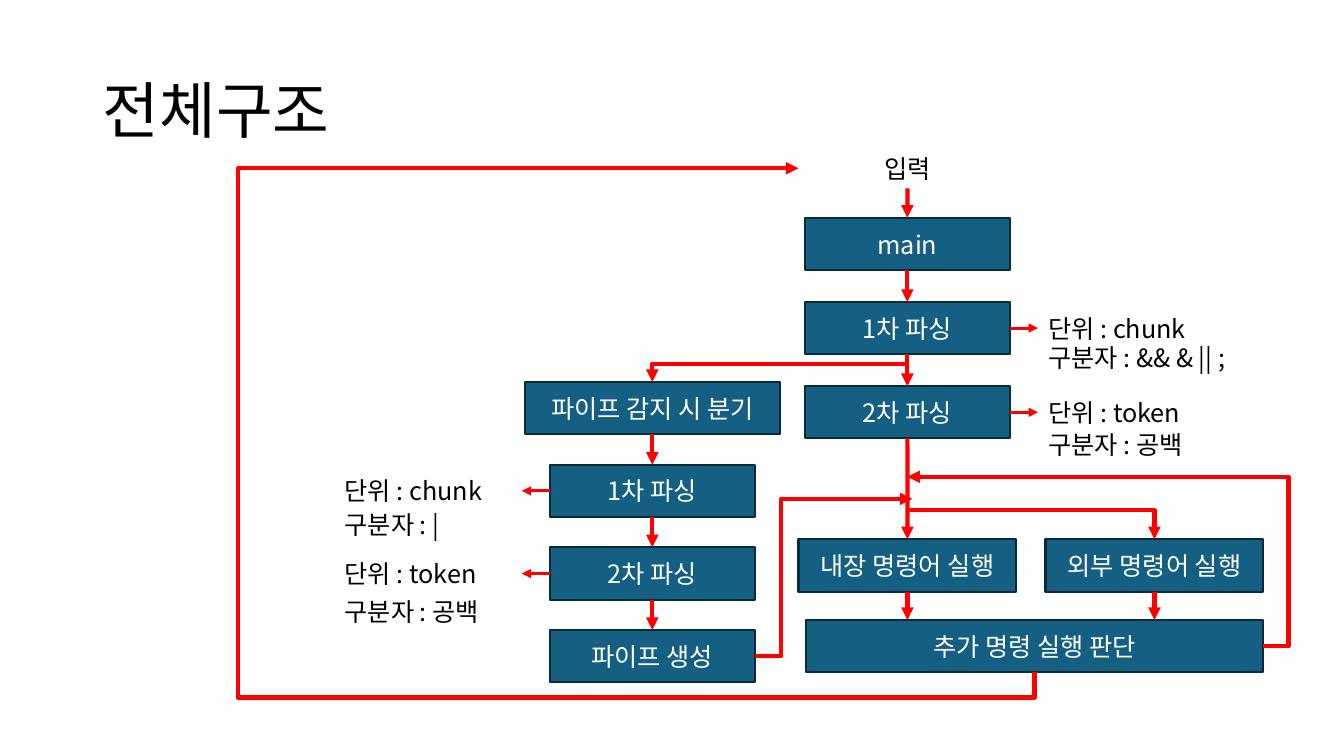
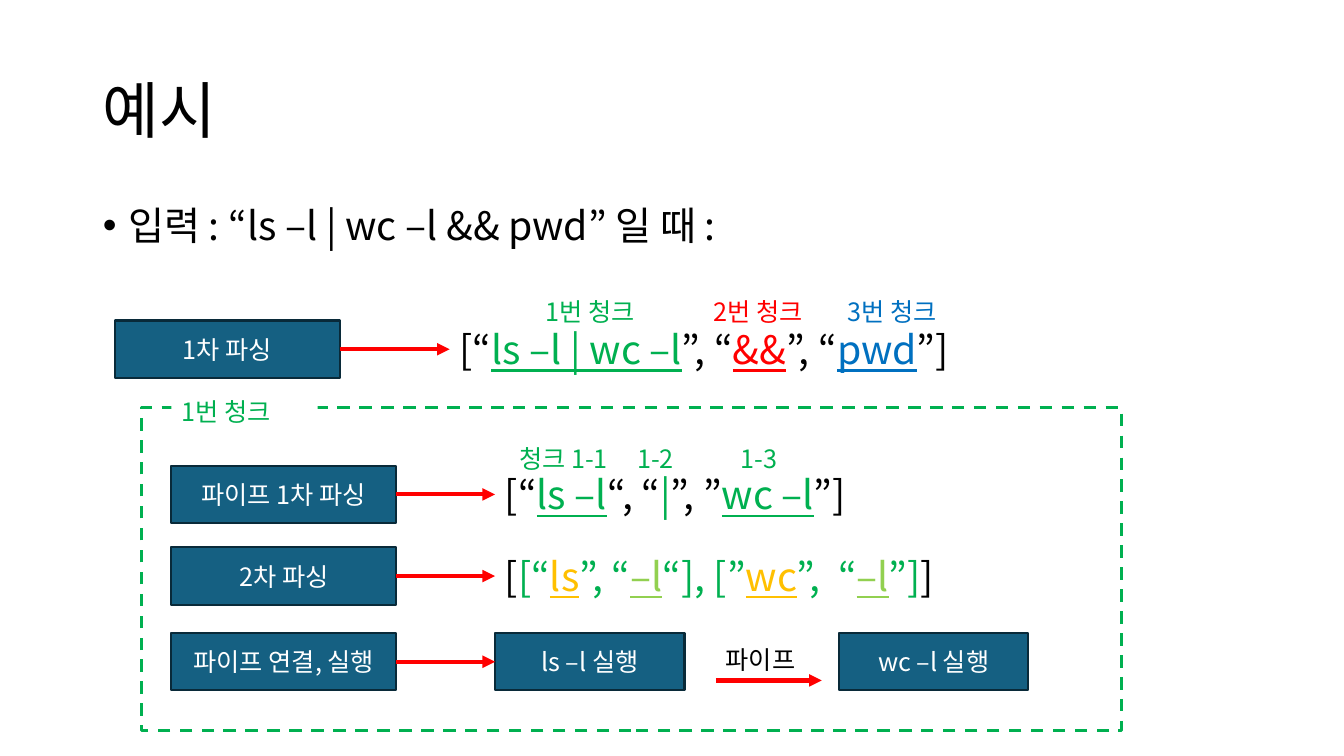
from lxml.etree import SubElement
from pptx import Presentation
from pptx.dml.color import RGBColor
from pptx.enum.dml import MSO_LINE
from pptx.enum.shapes import MSO_CONNECTOR as CONNECTOR, MSO_SHAPE as SHAPE
from pptx.enum.text import MSO_ANCHOR as ANCHOR, MSO_AUTO_SIZE as AUTO_SIZE, PP_ALIGN as ALIGN
from pptx.oxml.ns import qn
from pptx.util import Inches, Pt

FONT = "Noto Sans CJK KR"
BLACK, WHITE, RED, GREEN = "000000", "FFFFFF", "FF0000", "00B050"
BLUE, GOLD, LIME = "0070C0", "FFC000", "92D050"
BOX_FILL, BOX_LINE = "156082", "092A39"
WIDTH, HEIGHT = 13.33, 7.5
MARGIN, CONTENT_WIDTH = 0.92, 11.5
TOP, LEFT, BOTTOM, RIGHT = range(4)

MAIN_COLUMN, PIPE_COLUMN, EXTERNAL_COLUMN, JUDGE_COLUMN = 9, 6.47, 11.45, 10.26
MAIN_TOP, MAIN_PITCH = 2.16, 0.835
PIPE_TOP, PIPE_PITCH = 3.79, 0.82
COMMAND_TOP, JUDGE_TOP = 5.35, 6.15
BOX_WIDTH, BOX_HEIGHT = 2.03, 0.52
STEP_WIDTH, STEP_HEIGHT = 2.23, 0.57
INNER_LEFT, INNER_CODE = 1.7, 4.91


def color(hex_string):
    """Turn a hex string into a colour."""
    return RGBColor.from_string(hex_string)


def set_format(target, **values):
    """Set each named attribute of the target."""
    for name, value in values.items():
        setattr(target, name, value)


def place(shape, left, top, width, height):
    """Put a shape at a place given in inches."""
    set_format(shape, left=Inches(left), top=Inches(top),
               width=Inches(width), height=Inches(height))


def write(shape, runs, size=18, paragraph_format=None, **frame_format):
    """Write one paragraph of (text, colour, underline) runs."""
    set_format(shape.text_frame, word_wrap=True, **frame_format)
    paragraph = shape.text_frame.paragraphs[0]
    set_format(paragraph, **(paragraph_format or {}))
    for text, hex_string, underline in runs:
        run = paragraph.add_run()
        run.text = text
        set_format(run.font, name=FONT, size=Pt(size), underline=underline)
        run.font.color.rgb = color(hex_string)
        SubElement(run._r.get_or_add_rPr(), qn("a:ea"), typeface=FONT)
    return paragraph


def draw_line(line, hex_string, width):
    """Give an outline its colour and width."""
    line.color.rgb = color(hex_string)
    line.width = Pt(width)


def add_title(slide, text):
    """Fill and place the title placeholder."""
    title = slide.shapes.title
    place(title, MARGIN, 0.4, CONTENT_WIDTH, 1.45)
    write(title, [(text, BLACK, None)], 44,
          {"alignment": ALIGN.LEFT, "line_spacing": 0.9},
          vertical_anchor=ANCHOR.MIDDLE, auto_size=AUTO_SIZE.NONE)


def add_bullet(slide, text):
    """Fill and place the body placeholder."""
    body = slide.placeholders[1]
    place(body, MARGIN, 2, CONTENT_WIDTH, 0.71)
    paragraph = write(body, [(text, BLACK, None)], 28,
                      {"line_spacing": 0.9, "space_before": Pt(10)},
                      auto_size=AUTO_SIZE.NONE)
    properties = paragraph._p.get_or_add_pPr()
    properties.set("marL", str(Inches(0.25)))
    properties.set("indent", str(Inches(-0.25)))


def add_rectangle(slide, left, top, width, height):
    """Add a plain rectangle without fill or shadow."""
    shape = slide.shapes.add_shape(SHAPE.RECTANGLE, 0, 0, 0, 0)
    place(shape, left, top, width, height)
    shape.shadow.inherit = False
    shape.fill.background()
    return shape


def add_box(slide, text, left, top, width=STEP_WIDTH, height=STEP_HEIGHT):
    """Add a filled process box."""
    shape = add_rectangle(slide, left, top, width, height)
    shape.fill.solid()
    shape.fill.fore_color.rgb = color(BOX_FILL)
    draw_line(shape.line, BOX_LINE, 1.5)
    write(shape, [(text, WHITE, None)], 18, {"alignment": ALIGN.CENTER},
          vertical_anchor=ANCHOR.MIDDLE)
    return shape


def add_flow_box(slide, text, column, top, width=BOX_WIDTH):
    """Add a process box centred on a column."""
    return add_box(slide, text, column - width / 2, top, width, BOX_HEIGHT)


def add_label(slide, runs, left, top, width=1.45, height=0.4, size=18, align=ALIGN.LEFT):
    """Add a text box that grows with its text."""
    label = slide.shapes.add_textbox(0, 0, 0, 0)
    place(label, left, top, width, height)
    write(label, runs, size, {"alignment": align}, auto_size=AUTO_SIZE.SHAPE_TO_FIT_TEXT)
    return label


def locate(end):
    """Return the inches of a point or of a (shape, side) pair."""
    if isinstance(end[0], (int, float)):
        return end
    shape, side = end
    across = {LEFT: 0, RIGHT: 1}.get(side, 0.5)
    down = {TOP: 0, BOTTOM: 1}.get(side, 0.5)
    return ((shape.left + shape.width * across) / Inches(1),
            (shape.top + shape.height * down) / Inches(1))


def add_arrow(slide, begin, end, kind=CONNECTOR.STRAIGHT, width=3, head="tailEnd"):
    """Add a red arrow and join it to the shapes it touches."""
    points = [Inches(value) for value in (*locate(begin), *locate(end))]
    arrow = slide.shapes.add_connector(kind, *points)
    for anchor, join in ((begin, arrow.begin_connect), (end, arrow.end_connect)):
        if not isinstance(anchor[0], (int, float)):
            join(*anchor)
    draw_line(arrow.line, RED, width)
    SubElement(arrow.line._get_or_add_ln(), qn(f"a:{head}"), type="triangle")
    SubElement(arrow._element.spPr, qn("a:effectLst"))
    return arrow


def add_elbow(slide, begin, end, *bends, head="tailEnd"):
    """Add a bent arrow that turns at the given x, then y."""
    arrow = add_arrow(slide, begin, end, CONNECTOR.ELBOW, head=head)
    geometry = arrow._element.spPr.find(qn("a:prstGeom"))
    geometry.set("prst", f"bentConnector{len(bends) + 2}")
    guides = geometry.find(qn("a:avLst"))
    ends = zip(bends, locate(begin), locate(end))
    for number, (bend, start, stop) in enumerate(ends, 1):
        share = round((bend - start) / (stop - start) * 100000)
        SubElement(guides, qn("a:gd"), name=f"adj{number}", fmla=f"val {share}")


def add_chain(slide, boxes):
    """Join boxes from top to bottom."""
    for upper, lower in zip(boxes, boxes[1:]):
        add_arrow(slide, (upper, BOTTOM), (lower, TOP))


def add_note(slide, box, side, unit, delimiter, delimiter_top):
    """Explain a parsing box beside it."""
    x, y = locate((box, side))
    tip, left = (x + 0.28, 10.3) if side == RIGHT else (x - 0.28, 3.32)
    add_label(slide, [(f"단위 : {unit}", BLACK, None)], left, y - 0.2, 1.86)
    add_label(slide, [(f"구분자 : {delimiter}", BLACK, None)], left, delimiter_top, 2.3)
    add_arrow(slide, (box, side), (tip, y), width=2.25)


def build_structure(slide):
    """Build the flow chart of the whole structure."""
    add_title(slide, "전체구조")
    source = add_label(slide, [("입력", BLACK, None)], MAIN_COLUMN - 1.08, 1.47, 2.16,
                       align=ALIGN.CENTER)
    main_boxes = [add_flow_box(slide, text, MAIN_COLUMN, MAIN_TOP + row * MAIN_PITCH)
                  for row, text in enumerate(["main", "1차 파싱", "2차 파싱"])]
    pipe_boxes = [add_flow_box(slide, text, PIPE_COLUMN, PIPE_TOP + row * PIPE_PITCH, width)
                  for row, (text, width) in enumerate([
                      ("파이프 감지 시 분기", 2.53), ("1차 파싱", BOX_WIDTH),
                      ("2차 파싱", BOX_WIDTH), ("파이프 생성", BOX_WIDTH)])]
    builtin, external = [add_flow_box(slide, text, column, COMMAND_TOP, 2.16)
                         for text, column in [("내장 명령어 실행", MAIN_COLUMN),
                                              ("외부 명령어 실행", EXTERNAL_COLUMN)]]
    judge = add_flow_box(slide, "추가 명령 실행 판단", JUDGE_COLUMN, JUDGE_TOP, 4.54)

    for note in [(main_boxes[1], RIGHT, "chunk", "&& & || ;", 3.35),
                 (main_boxes[2], RIGHT, "token", "공백", 4.21),
                 (pipe_boxes[1], LEFT, "chunk", "|", 5),
                 (pipe_boxes[2], LEFT, "token", "공백", 5.87)]:
        add_note(slide, *note)

    add_chain(slide, [source, *main_boxes, builtin])
    add_chain(slide, pipe_boxes)
    for command, column in [(builtin, MAIN_COLUMN), (external, EXTERNAL_COLUMN)]:
        add_arrow(slide, (command, BOTTOM), (column, JUDGE_TOP))
    add_elbow(slide, (MAIN_COLUMN, 3.61), (pipe_boxes[0], TOP))
    add_elbow(slide, (MAIN_COLUMN, 5.06), (external, TOP))
    add_elbow(slide, (pipe_boxes[-1], RIGHT), (MAIN_COLUMN + 0.05, 4.95), 7.75)
    add_elbow(slide, (judge, RIGHT), (MAIN_COLUMN, 4.73), 12.78)
    add_elbow(slide, (source, LEFT), (judge, BOTTOM), 2.36, 6.92, head="headEnd")


def build_example(slide):
    """Build the worked example."""
    frame = add_rectangle(slide, 1.4, 4.04, 9.72, 3.21)
    draw_line(frame.line, GREEN, 2.25)
    frame.line.dash_style = MSO_LINE.DASH
    add_title(slide, "예시")
    add_bullet(slide, "입력 : “ls –l | wc –l && pwd” 일 때 :")

    steps = [
        ("1차 파싱", 1.14, 3.18, 4.46, [
            ("[“", BLACK, None), ("ls –l | wc –l", GREEN, True), ("”, “", BLACK, None),
            ("&&", RED, True), ("”, “", BLACK, None), ("pwd", BLUE, True),
            ("”]", BLACK, None)]),
        ("파이프 1차 파싱", INNER_LEFT, 4.62, INNER_CODE, [
            ("[“", BLACK, None), ("ls –l", GREEN, True), ("“, “", BLACK, None),
            ("|", GREEN, None), ("”, ”", BLACK, None), ("wc –l", GREEN, True),
            ("”]", BLACK, None)]),
        ("2차 파싱", INNER_LEFT, 5.43, INNER_CODE, [
            ("[", BLACK, None), ("[“", GREEN, None), ("ls", GOLD, True),
            ("”, “", GREEN, None), ("–l", LIME, True), ("“], [”", GREEN, None),
            ("wc", GOLD, True), ("”,  “", GREEN, None), ("–l", LIME, True),
            ("”]", GREEN, None), ("]", BLACK, None)]),
    ]
    for text, left, top, code_left, code in steps:
        step = add_box(slide, text, left, top)
        result = add_label(slide, code, code_left, top, 5.62, STEP_HEIGHT, 28)
        add_arrow(slide, (step, RIGHT), (result, LEFT))

    for text, hex_string, left, top in [
            ("1번 청크", GREEN, 5.31, 2.89), ("2번 청크", RED, 6.98, 2.89),
            ("3번 청크", BLUE, 8.31, 2.89), ("청크 1-1", GREEN, 5.05, 4.35),
            ("1-2", GREEN, 6.22, 4.35), ("1-3", GREEN, 7.25, 4.35),
            ("파이프", BLACK, 7.1, 6.34)]:
        add_label(slide, [(text, hex_string, None)], left, top)
    caption = add_label(slide, [("1번 청크", GREEN, None)], INNER_LEFT, 3.88)
    caption.fill.solid()
    caption.fill.fore_color.rgb = color(WHITE)

    run_top = 6.28
    connect = add_box(slide, "파이프 연결, 실행", INNER_LEFT, run_top)
    first, _ = [add_box(slide, text, left, run_top, 1.88)
                for text, left in [("ls –l 실행", INNER_CODE), ("wc –l 실행", 8.32)]]
    add_arrow(slide, (connect, RIGHT), (first, LEFT))
    add_arrow(slide, (7.1, 6.75), (8.15, 6.75))


def main():
    """Build both slides and save them."""
    presentation = Presentation()
    set_format(presentation, slide_width=Inches(WIDTH), slide_height=Inches(HEIGHT))
    title_and_content, title_only = [presentation.slide_layouts[index] for index in (1, 5)]
    build_structure(presentation.slides.add_slide(title_only))
    build_example(presentation.slides.add_slide(title_and_content))
    presentation.save("out.pptx")


if __name__ == "__main__":
    main()
